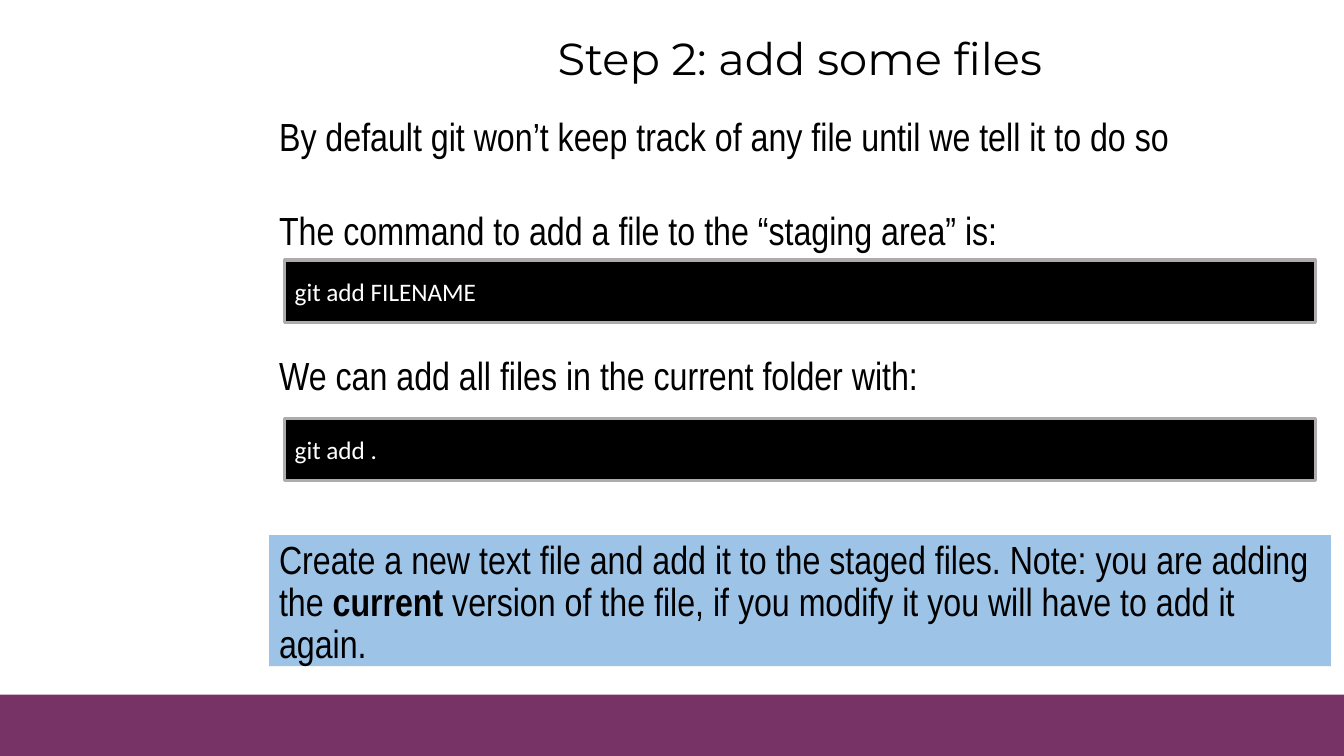
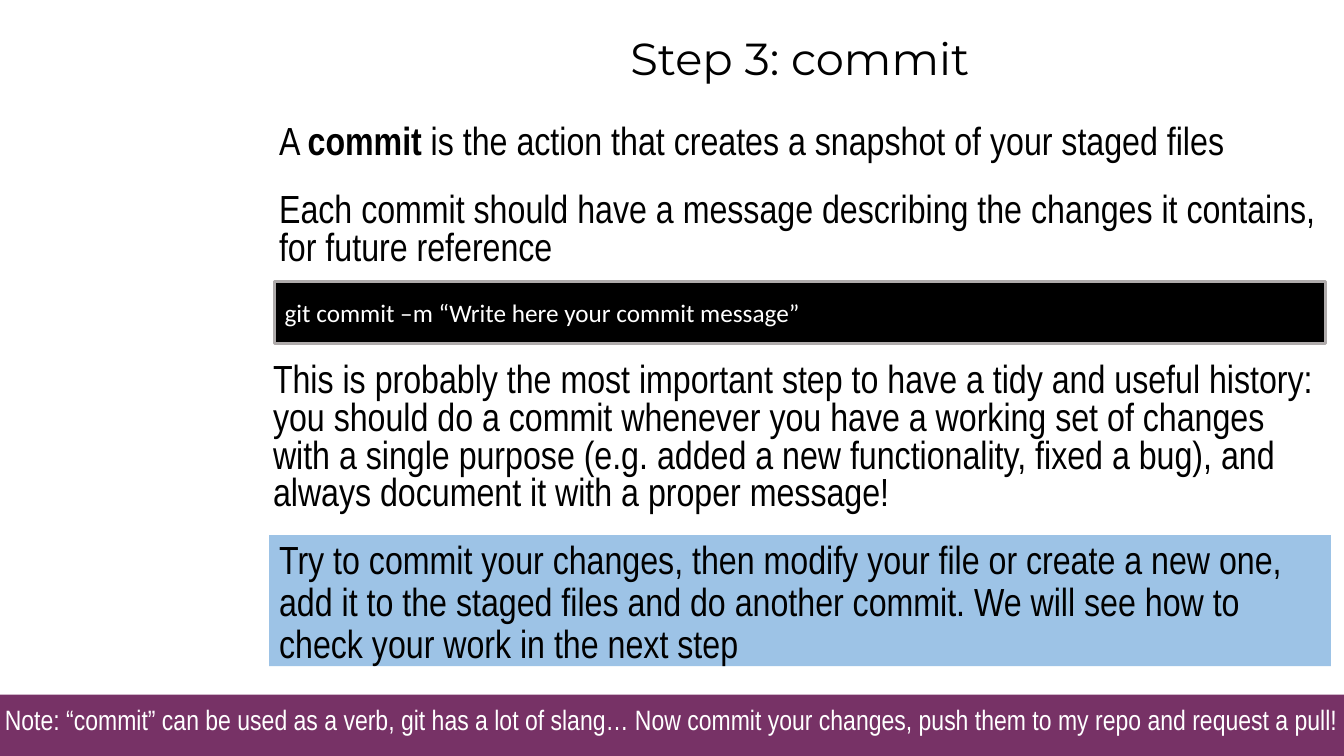
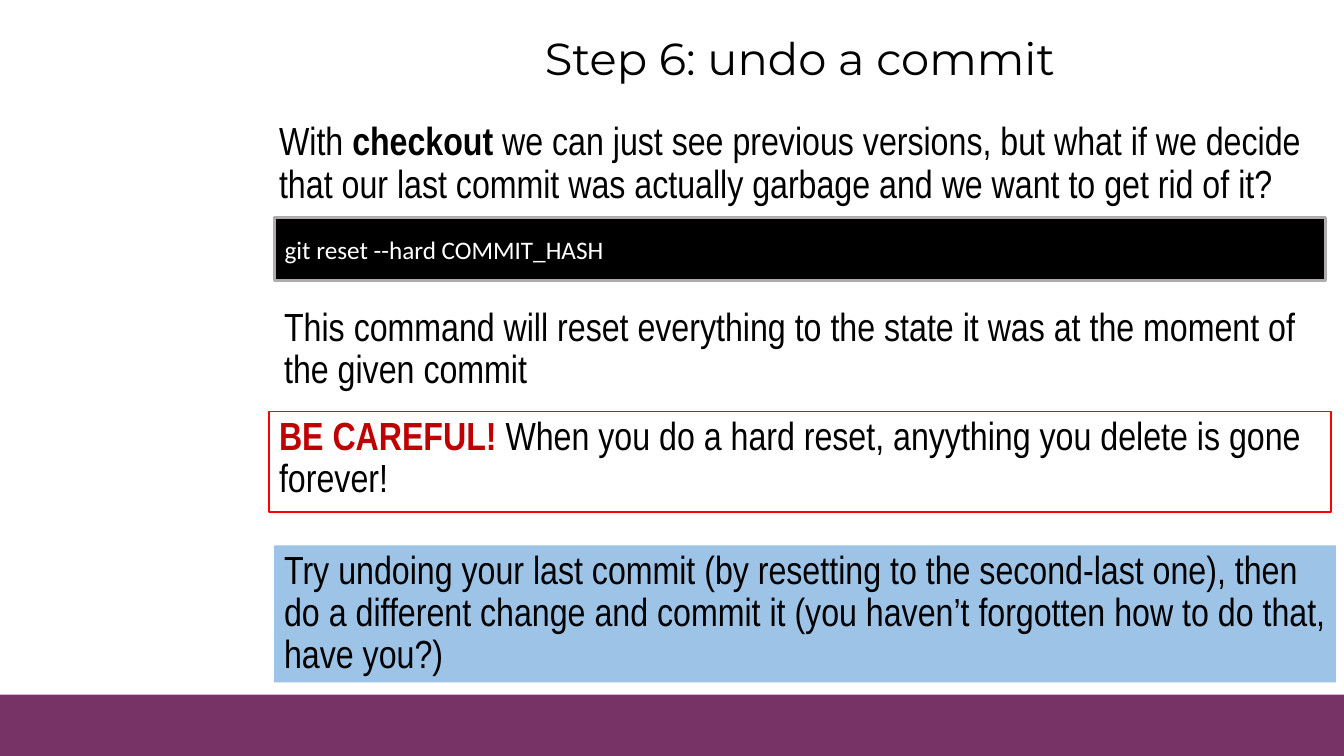
"""Build three slides that teach the git steps add, commit and reset."""
from pptx import Presentation
from pptx.dml.color import RGBColor
from pptx.enum.shapes import MSO_SHAPE
from pptx.enum.text import MSO_ANCHOR, PP_ALIGN
from pptx.util import Inches, Pt

COLORS = {
    "band": "773266",
    "black": "000000",
    "white": "FFFFFF",
    "edge": "AFABAB",
    "task": "9DC3E6",
    "alert": "FF0000",
    "warn": "C00000",
}
LEFT, WIDE = 2.67, 10.53
MID = LEFT + WIDE / 2


def tint(name):
    return RGBColor.from_string(COLORS[name])


def write(shape, text, size=28, face="Arial Narrow", color="black", mark=None,
          lines=None, before=0, align=PP_ALIGN.LEFT, anchor=MSO_ANCHOR.TOP):
    frame = shape.text_frame
    frame.word_wrap = True
    frame.vertical_anchor = anchor
    para = frame.paragraphs[0]
    para.alignment = align
    para.space_before = Pt(before)
    if lines:
        para.line_spacing = lines
    para.font.size = Pt(size)
    para.font.name = face
    para.font.color.rgb = tint(color)
    for i, part in enumerate(text.split("*")):
        if part:
            run = para.add_run()
            run.text = part
            if i % 2:
                run.font.bold = True
                if mark:
                    run.font.color.rgb = tint(mark)


def add_text(slide, left, top, width, height, text, **style):
    box = slide.shapes.add_textbox(
        Inches(left), Inches(top), Inches(width), Inches(height))
    write(box, text, **style)


def add_rect(slide, left, top, width, height, fill, edge=None, weight=1):
    rect = slide.shapes.add_shape(
        MSO_SHAPE.RECTANGLE,
        Inches(left), Inches(top), Inches(width), Inches(height))
    rect.shadow.inherit = False
    rect.fill.solid()
    rect.fill.fore_color.rgb = tint(fill)
    if edge:
        rect.line.color.rgb = tint(edge)
        rect.line.width = Pt(weight)
    else:
        rect.line.fill.background()
    return rect


def add_slide(deck, title):
    slide = deck.slides.add_slide(deck.slide_layouts[6])
    add_rect(slide, 0, 6.89, 13.33, 0.61, "band")
    add_text(slide, LEFT, 0.14, WIDE, 0.92, title, size=32, face="Montserrat",
             lines=0.9, align=PP_ALIGN.CENTER, anchor=MSO_ANCHOR.MIDDLE)
    return slide


def add_body(slide, top, height, text, lines=0.9, left=LEFT):
    add_text(slide, left, top, WIDE, height, text, lines=lines, before=10)


def add_code(slide, top, text, width=10.42):
    rect = add_rect(slide, MID - width / 2, top, width, 0.62,
                    "black", "edge", 2.25)
    write(rect, text, size=18, face="Calibri", color="white",
          anchor=MSO_ANCHOR.MIDDLE)


def add_task(slide, text, left=LEFT, top=5.31, height=1.3):
    rect = add_rect(slide, left, top, WIDE, height, "task")
    write(rect, text, lines=0.9, before=10)


def add_alert(slide, top, text):
    rect = add_rect(slide, LEFT, top, WIDE, 1, "white", "alert")
    write(rect, text, mark="warn", lines=0.9, before=10)


def add_note(slide, text):
    add_text(slide, -0.05, 6.92, 13.44, 0.44, text, size=20, color="white")


def stage(deck):
    slide = add_slide(deck, "Step 2: add some files")
    for top, text in (
        (1.16, "By default git won’t keep track of any file until we tell it "
               "to do so"),
        (2.09, "The command to add a file to the “staging area” is:"),
        (3.53, "We can add all files in the current folder with:"),
    ):
        add_body(slide, top, 0.49, text, 0.8)
    for top, text in ((2.58, "git add FILENAME"), (4.15, "git add .")):
        add_code(slide, top, text, 10.22)
    add_task(slide, "Create a new text file and add it to the staged files. "
             "Note: you are adding the *current* version of the file, if you "
             "modify it you will have to add it again.")


def commit(deck):
    slide = add_slide(deck, "Step 3: commit")
    add_body(slide, 1.16, 0.62, "A *commit* is the action that creates a "
             "snapshot of your staged files")
    add_body(slide, 1.87, 0.92, "Each commit should have a message describing "
             "the changes it contains, for future reference", 0.8)
    add_code(slide, 2.79, "git commit –m “Write here your commit message”")
    add_task(slide, "Try to commit your changes, then modify your file or "
             "create a new one, add it to the staged files and do another "
             "commit. We will see how to check your work in the next step")
    add_note(slide, "Note: “commit” can be used as a verb, git has a lot of "
             "slang… Now commit your changes, push them to my repo and "
             "request a pull!")
    add_body(slide, 3.56, 1.75, "This is probably the most important step to "
             "have a tidy and useful history: you should do a commit whenever "
             "you have a working set of changes with a single purpose (e.g. "
             "added a new functionality, fixed a bug), and always document it "
             "with a proper message!", 0.8, 2.61)


def reset(deck):
    slide = add_slide(deck, "Step 6: undo a commit")
    add_body(slide, 1.16, 1, "With *checkout* we can just see previous "
             "versions, but what if we decide that our last commit was "
             "actually garbage and we want to get rid of it?")
    add_code(slide, 2.16, "git reset --hard COMMIT_HASH")
    add_body(slide, 3, 1, "This command will reset everything to the state it "
             "was at the moment of the given commit", left=2.72)
    add_alert(slide, 4.08, "*BE CAREFUL! *When you do a hard reset, anyything "
              "you delete is gone forever!")
    add_task(slide, "Try undoing your last commit (by resetting to the "
             "second-last one), then do a different change and commit it (you "
             "haven’t forgotten how to do that, have you?)", 2.72, 5.41, 1.36)


def main():
    deck = Presentation()
    deck.slide_width = Inches(13.33)
    deck.slide_height = Inches(7.5)
    for build in (stage, commit, reset):
        build(deck)
    deck.save("out.pptx")


if __name__ == "__main__":
    main()
